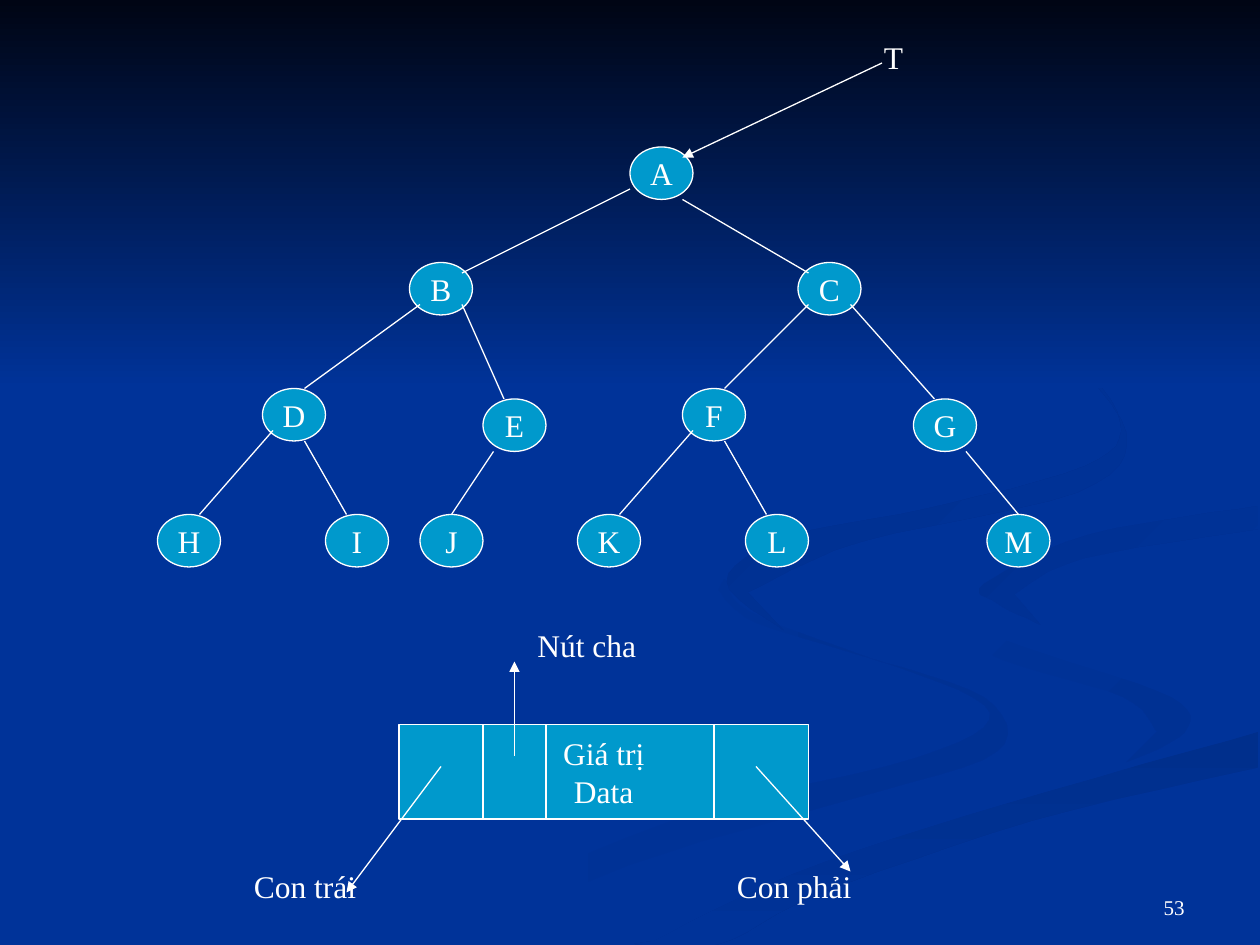
from lxml import etree
from pptx import Presentation
from pptx.dml.color import RGBColor
from pptx.enum.shapes import MSO_CONNECTOR, MSO_SHAPE
from pptx.enum.text import MSO_ANCHOR as ANCHOR, PP_ALIGN as ALIGN
from pptx.oxml.ns import qn
from pptx.util import Emu, Pt

PX = 7620
WIDTH, HEIGHT = 1200, 900
FONT = "Times New Roman"
WHITE, BLUE, CYAN = "FFFFFF", "003399", "0099CC"

BEND = [(869, 557), (880, 580), (996, 623), (1116, 664), (1129, 697), (1073, 726)]
TAIL = [(623, 896), (756, 832), (956, 766), (1198, 697)]
CREST = [(1198, 482), (1038, 509), (937, 556)]
RIBBONS = [
    ((BLUE, "003193"), 0, [
        [(433, 899), (599, 824), (811, 761), (949, 716), (937, 664),
         (818, 623), (713, 582), (690, 551)],
        [(684, 562), (722, 594), (857, 636), (943, 679), (872, 722),
         (647, 779), (360, 899)]]),
    ((BLUE, "003193"), 45, [
        BEND, [(1102, 697), (1070, 664), (956, 629), (880, 586)]]),
    (("002F8C", BLUE), 90, [
        TAIL, [(1198, 731), (985, 781), (779, 852), (685, 899), (604, 899)]]),
    ((BLUE,), 0, [
        BEND + [(845, 786), (572, 899)], TAIL,
        [(1198, 646), (1085, 623), (965, 582)], CREST[::-1],
        [(1198, 464), (1021, 493), (906, 518)]]),
    (("003091", BLUE), 45, [
        CREST + [(949, 574), (991, 595)],
        [(966, 566), (1031, 532), (1198, 504)]]),
    (("002F8E", BLUE), 45, [
        [(746, 600), (692, 554), (750, 511), (880, 485), (1033, 444),
         (1067, 402), (1015, 335), (914, 280)],
        [(1012, 330), (1073, 413), (1026, 469), (820, 516), (712, 564)]]),
    (("000514", BLUE), 90, [
        [(0, 0), (WIDTH, 0)], [(WIDTH, 370), (0, 370)]]),
]

NODE_W, NODE_H = 60, 50
ROWS = [
    (140, {"A": 600}),
    (250, {"B": 390, "C": 760}),
    (370, {"D": 250, "F": 650}),
    (380, {"E": 460, "G": 870}),
    (490, {"H": 150, "I": 310, "J": 400, "K": 550, "L": 710, "M": 940}),
]
EDGES = [
    (["AB"], (0, 40), (50, 10)),
    (["AC"], (50, 50), (10, 10)),
    (["BD", "CF", "DH", "FK"], (10, 40), (40, 0)),
    (["BE", "CG"], (50, 40), (20, 0)),
    (["DI", "FL"], (40, 50), (20, 0)),
    (["EJ"], (10, 50), (30, 0)),
    (["GM"], (50, 50), (30, 0)),
]

RECORD = (380, 690, 390, 90)
FIELDS = ["Giá trị", "Data"]
DIVIDERS = [460, 520, 680]
ARROWS = [
    (420, 730, 330, 850), (720, 730, 810, 830),
    (840, 60, 650, 150), (490, 720, 490, 630),
]
LABELS = [
    ("T", 830, 30, 100), ("Nút cha", 500, 590, 200),
    ("Con trái", 230, 820, 200), ("Con phải", 690, 820, 200),
]
PAGE = ("53", 860, 820, 280, 62)


def rgb(color):
    return RGBColor.from_string(color)


def emu(*values):
    return [Emu(v * PX) for v in values]


def smooth(points, steps=6):
    padded = [points[0], *points, points[-1]]
    curve = []
    for quad in zip(padded, padded[1:], padded[2:], padded[3:]):
        for i in range(steps):
            t = i / steps
            curve.append(tuple(
                b + t * (c - a + t * (2 * a - 5 * b + 4 * c - d
                                      + t * (3 * b - a - 3 * c + d))) / 2
                for a, b, c, d in zip(*quad)))
    return curve + [points[-1]]


def write(tf, lines, size=18, align=ALIGN.LEFT, anchor=ANCHOR.TOP, wrap=True):
    tf.word_wrap = wrap
    tf.vertical_anchor = anchor
    for i, line in enumerate(lines):
        p = tf.add_paragraph() if i else tf.paragraphs[0]
        p.alignment = align
        r = p.add_run()
        r.text = line
        r.font.name, r.font.size = FONT, Pt(size)
        r.font.color.rgb = rgb(WHITE)


def add_ribbon(shapes, colors, angle, sides):
    points = [point for side in sides for point in smooth(side)]
    builder = shapes.build_freeform(*points[0], scale=PX)
    builder.add_line_segments(points[1:], close=True)
    s = builder.convert_to_shape()
    s.shadow.inherit = False
    s.line.fill.background()
    if len(colors) == 1:
        s.fill.solid()
        s.fill.fore_color.rgb = rgb(colors[0])
        return
    s.fill.gradient()
    s.fill.gradient_angle = -angle % 360
    for stop, color in zip(s.fill.gradient_stops, colors):
        stop.color.rgb = rgb(color)


def add_box(shapes, kind, box, lines):
    s = shapes.add_shape(kind, *emu(*box))
    s.shadow.inherit = False
    s.fill.solid()
    s.fill.fore_color.rgb = rgb(CYAN)
    s.line.color.rgb = rgb(WHITE)
    s.line.width = Pt(0.75)
    write(s.text_frame, lines, align=ALIGN.CENTER, anchor=ANCHOR.MIDDLE, wrap=False)


def add_line(shapes, ends, arrow=False):
    c = shapes.add_connector(MSO_CONNECTOR.STRAIGHT, *emu(*ends))
    c.line.color.rgb = rgb(WHITE)
    c.line.width = Pt(0.75)
    if arrow:
        ln = c._element.spPr.find(qn("a:ln"))
        etree.SubElement(ln, qn("a:tailEnd"), type="triangle")
    etree.SubElement(c._element.spPr, qn("a:effectLst"))


def add_label(shapes, text, x, y, w, h=48, **style):
    s = shapes.add_textbox(*emu(x, y, w, h))
    write(s.text_frame, [text], **style)


def main():
    prs = Presentation()
    prs.slide_width, prs.slide_height = emu(WIDTH, HEIGHT)
    slide = prs.slides.add_slide(prs.slide_layouts[6])
    slide.background.fill.solid()
    slide.background.fill.fore_color.rgb = rgb(BLUE)
    shapes = slide.shapes

    for ribbon in RIBBONS:
        add_ribbon(shapes, *ribbon)
    add_label(shapes, *PAGE, size=12, align=ALIGN.RIGHT, anchor=ANCHOR.BOTTOM)

    nodes = {name: (x, y) for y, row in ROWS for name, x in row.items()}
    for name, (x, y) in nodes.items():
        add_box(shapes, MSO_SHAPE.OVAL, (x, y, NODE_W, NODE_H), [name])
    for pairs, start, end in EDGES:
        for parent, child in pairs:
            (px, py), (cx, cy) = nodes[parent], nodes[child]
            add_line(shapes, (px + start[0], py + start[1], cx + end[0], cy + end[1]))

    add_box(shapes, MSO_SHAPE.RECTANGLE, RECORD, FIELDS)
    top, height = RECORD[1], RECORD[3]
    for x in DIVIDERS:
        add_line(shapes, (x, top, x, top + height))
    for arrow in ARROWS:
        add_line(shapes, arrow, arrow=True)
    for label in LABELS:
        add_label(shapes, *label)
    prs.save("out.pptx")


if __name__ == "__main__":
    main()
